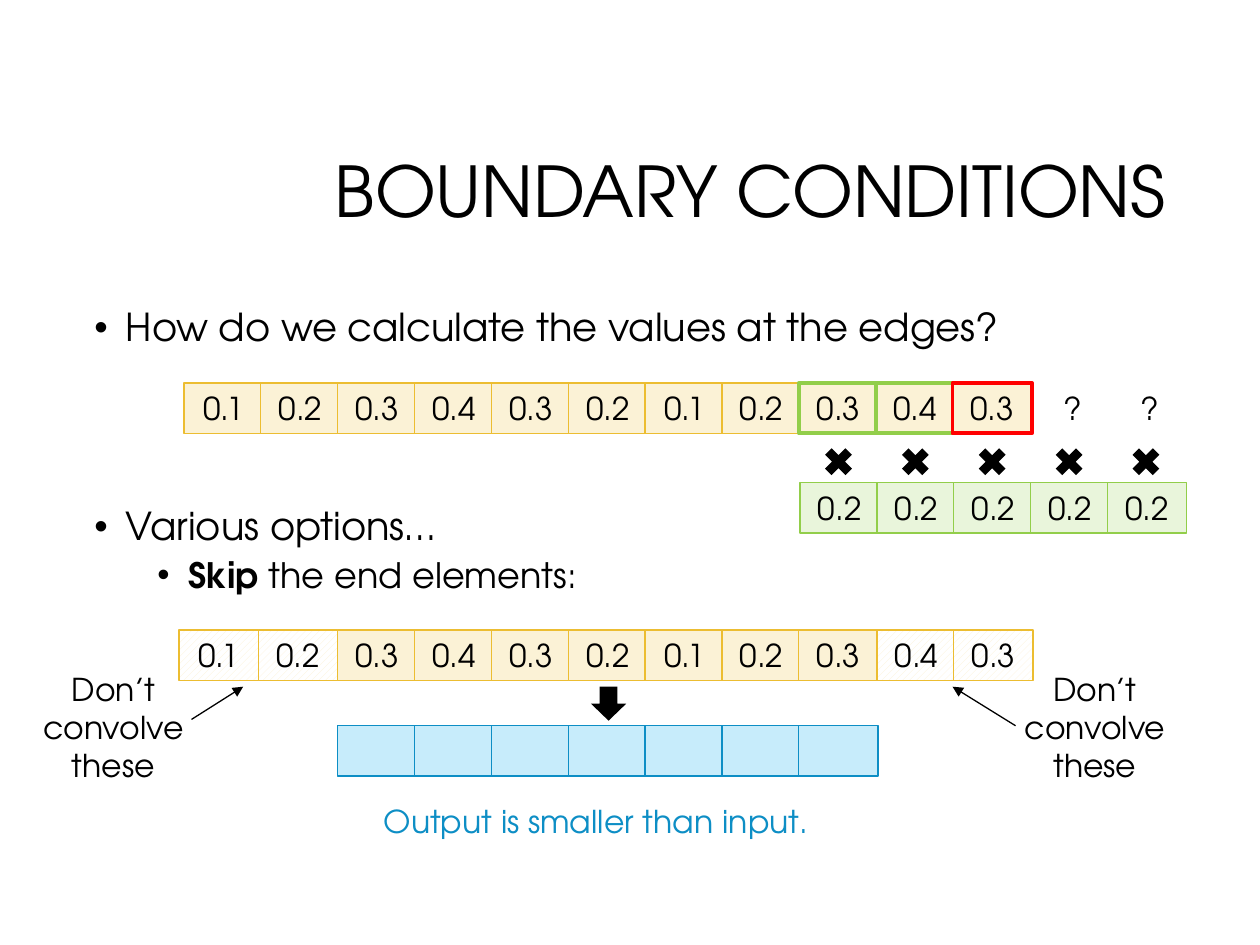
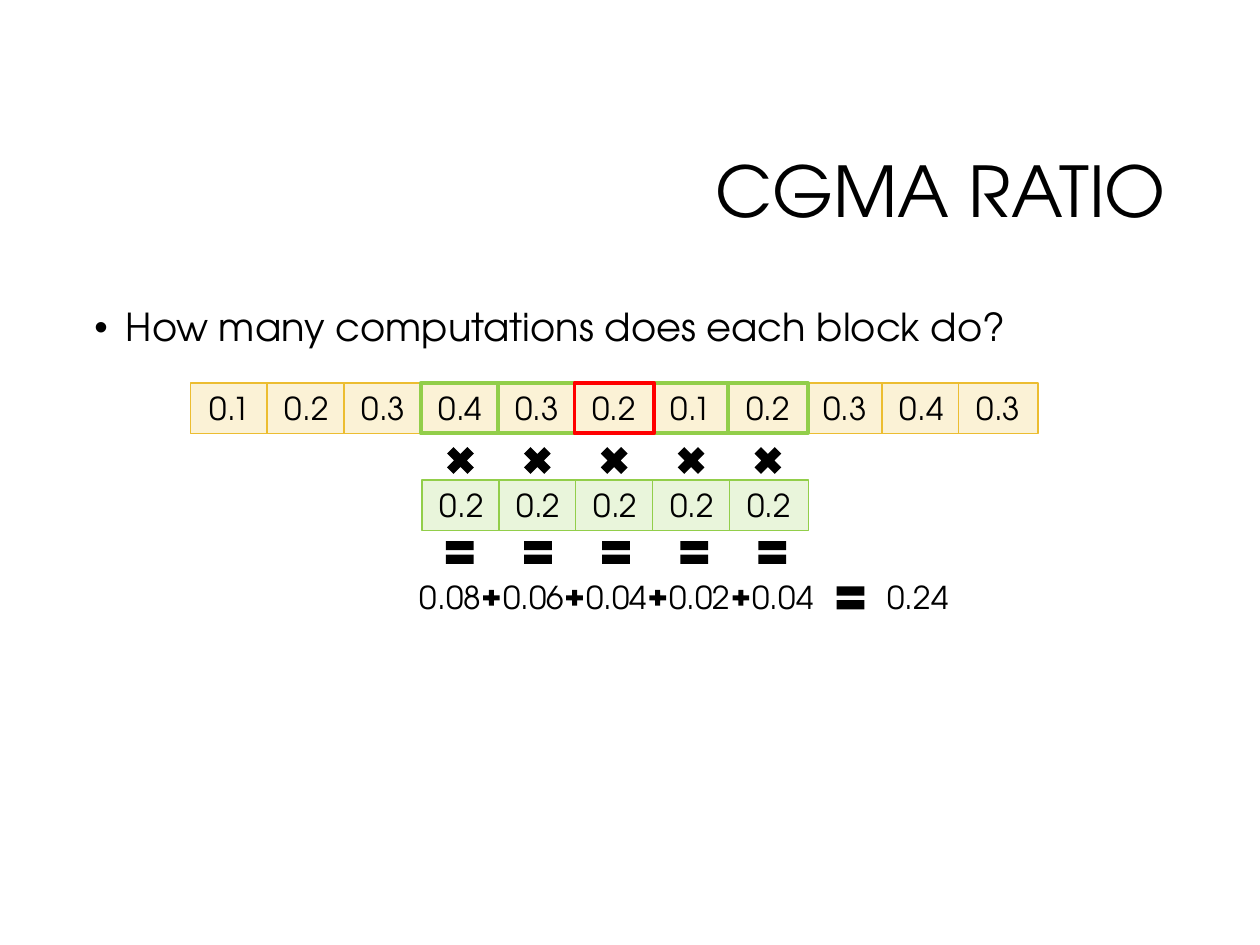
from lxml import etree
from pptx import Presentation
from pptx.dml.color import RGBColor
from pptx.enum.dml import MSO_PATTERN
from pptx.enum.shapes import MSO_CONNECTOR, MSO_SHAPE
from pptx.enum.text import MSO_ANCHOR, PP_ALIGN
from pptx.oxml.ns import qn
from pptx.util import Inches, Pt

RECT = MSO_SHAPE.RECTANGLE
TIMES = MSO_SHAPE.MATH_MULTIPLY
EQUAL = MSO_SHAPE.MATH_EQUAL
PLUS = MSO_SHAPE.MATH_PLUS
DOWN = MSO_SHAPE.DOWN_ARROW
LINE = MSO_CONNECTOR.STRAIGHT
HATCH = MSO_PATTERN.WIDE_UPWARD_DIAGONAL
MIDDLE = MSO_ANCHOR.MIDDLE
CENTER, LEFT, RIGHT = PP_ALIGN.CENTER, PP_ALIGN.LEFT, PP_ALIGN.RIGHT

FONT = "TeX Gyre Adventor"
BLACK, WHITE, RED = "000000", "FFFFFF", "FF0000"
CREAM, GOLD = "FBF2D6", "ECBD31"
MINT, GREEN = "E9F5DB", "92CE4A"
SKY, BLUE = "C7ECFB", "0D8EC5"
STYLES = {
    "plain": (CREAM, GOLD, 0.75),
    "skip": (CREAM, GOLD, 0.75),
    "mask": (MINT, GREEN, 0.75),
    "out": (SKY, BLUE, 0.75),
    "near": (CREAM, GREEN, 2.25),
    "focus": (CREAM, RED, 2.25),
}
ORDER = list(STYLES)
STEP, WIDE, HIGH, SIGN = 0.61, 0.63, 0.4, 0.31
rgb = RGBColor.from_string


def mark(slide, kind, x, y, w, h, fill=BLACK, edge=None, weight=0.75):
    shape = slide.shapes.add_shape(kind, Inches(x), Inches(y), Inches(w), Inches(h))
    shape.shadow.inherit = False
    shape.fill.solid()
    shape.fill.fore_color.rgb = rgb(fill)
    if edge:
        shape.line.color.rgb = rgb(edge)
        shape.line.width = Pt(weight)
    else:
        shape.line.fill.background()
    return shape


def write(shape, text, size=18, color=BLACK, align=CENTER):
    frame = shape.text_frame
    frame.word_wrap = True
    para = frame.paragraphs[0]
    para.text = text
    para.alignment = align
    para.font.name = FONT
    para.font.size = Pt(size)
    para.font.color.rgb = rgb(color)
    return para


deck = Presentation()
deck.slide_width, deck.slide_height = Inches(10), Inches(7.5)
edges, ratio = [deck.slides.add_slide(deck.slide_layouts[6]) for _ in range(2)]

for slide, name in ((edges, "BOUNDARY CONDITIONS"), (ratio, "CGMA RATIO")):
    box = slide.shapes.add_textbox(Inches(2.38), Inches(0.84), Inches(6.97), Inches(1.41))
    box.text_frame.vertical_anchor = MIDDLE
    write(box, name, 40, align=RIGHT).line_spacing = 0.9

points = [
    (edges, 2.4, 0.57, [(0, "", "How do we calculate the values at the edges?")]),
    (edges, 3.98, 1.26, [(0, "", "Various options…"), (1, "Skip ", "the end elements:")]),
    (ratio, 2.4, 0.64, [(0, "", "How many computations does each block do?")]),
]
for slide, top, high, lines in points:
    box = slide.shapes.add_textbox(Inches(0.65), Inches(top), Inches(8.7), Inches(high))
    frame = box.text_frame
    frame.word_wrap = True
    for num, (level, bold, text) in enumerate(lines):
        para = frame.add_paragraph() if num else frame.paragraphs[0]
        para.level = level
        para.line_spacing = 0.9
        para.alignment = LEFT
        if num:
            para.space_before = Pt(5)
        props = para._p.get_or_add_pPr()
        props.set("marL", str(Inches(0.25 + 0.5 * level)))
        props.set("indent", str(Inches(-0.25)))
        etree.SubElement(props, qn("a:buFont")).set("typeface", "Arial")
        etree.SubElement(props, qn("a:buChar")).set("char", "•")
        para.font.name = FONT
        para.font.size = Pt(22 - 2 * level)
        para.font.color.rgb = rgb(BLACK)
        if bold:
            run = para.add_run()
            run.text = bold
            run.font.bold = True
        para.add_run().text = text

DATA = "0.1 0.2 0.3 0.4 0.3 0.2 0.1 0.2 0.3 0.4 0.3".split()
MASK = ["0.2"] * 5
rows = [
    (edges, 1.46, 3.04, STEP, DATA, ["plain"] * 8 + ["near"] * 2 + ["focus"]),
    (edges, 6.35, 3.83, STEP, MASK, ["mask"] * 5),
    (edges, 2.68, 5, STEP, DATA[2:9], ["plain"] * 7),
    (edges, 1.42, 5, WIDE, DATA[:2], ["skip"] * 2),
    (edges, 6.96, 5, STEP, DATA[9:], ["skip"] * 2),
    (edges, 2.68, 5.76, STEP, [""] * 7, ["out"] * 7),
    (ratio, 1.51, 3.04, STEP, DATA,
     ["plain"] * 3 + ["near"] * 2 + ["focus"] + ["near"] * 2 + ["plain"] * 3),
    (ratio, 3.35, 3.81, STEP, MASK, ["mask"] * 5),
]
for slide, left, top, step, texts, kinds in rows:
    cells = sorted(enumerate(zip(texts, kinds)), key=lambda c: ORDER.index(c[1][1]))
    for col, (text, kind) in cells:
        cell = mark(slide, RECT, left + col * step, top, WIDE, HIGH, *STYLES[kind])
        if kind == "skip":
            cell.fill.patterned()
            cell.fill.pattern = HATCH
            cell.fill.fore_color.rgb = rgb(CREAM)
            cell.fill.back_color.rgb = rgb(WHITE)
        if text:
            write(cell, text)

signs = [
    (edges, TIMES, 6.5, 3.51, STEP, 5, SIGN, SIGN),
    (ratio, TIMES, 3.5, 3.5, STEP, 5, SIGN, SIGN),
    (ratio, EQUAL, 3.5, 4.23, 0.62, 5, 0.3, SIGN),
    (ratio, PLUS, 3.81, 4.66, 0.66, 4, 0.18, 0.17),
    (ratio, EQUAL, 6.6, 4.59, 0, 1, 0.3, SIGN),
    (edges, DOWN, 4.69, 5.45, 0, 1, 0.28, 0.27),
]
for slide, kind, left, top, step, count, wide, high in signs:
    for col in range(count):
        mark(slide, kind, left + col * step, top, wide, high)

notes = [
    (edges, 8.2, 3.04, WIDE, HIGH, "?", BLACK),
    (edges, 8.81, 3.04, WIDE, HIGH, "?", BLACK),
    (edges, 0.09, 5.27, 1.62, 1.01, "Don’t convolve these", BLACK),
    (edges, 7.88, 5.27, 1.62, 1.01, "Don’t convolve these", BLACK),
    (edges, 2.72, 6.32, 4.02, HIGH, "Output is smaller than input.", BLUE),
    (ratio, 6.89, 4.54, 0.79, HIGH, "0.24", BLACK),
]
for col, text in enumerate("0.08 0.06 0.04 0.02 0.04".split()):
    notes.append((ratio, 3.18 + col * 0.66, 4.54, 0.79, HIGH, text, BLACK))
for slide, left, top, wide, high, text, color in notes:
    box = slide.shapes.add_textbox(Inches(left), Inches(top), Inches(wide), Inches(high))
    write(box, text, color=color)

for ends in ((1.52, 5.71, 1.93, 5.45), (8.06, 5.76, 7.56, 5.45)):
    arrow = edges.shapes.add_connector(LINE, *[Inches(end) for end in ends])
    arrow.line.color.rgb = rgb(BLACK)
    arrow.line.width = Pt(0.75)
    etree.SubElement(arrow.line._get_or_add_ln(), qn("a:tailEnd")).set("type", "triangle")
    etree.SubElement(arrow._element.spPr, qn("a:effectLst"))

deck.save("out.pptx")
